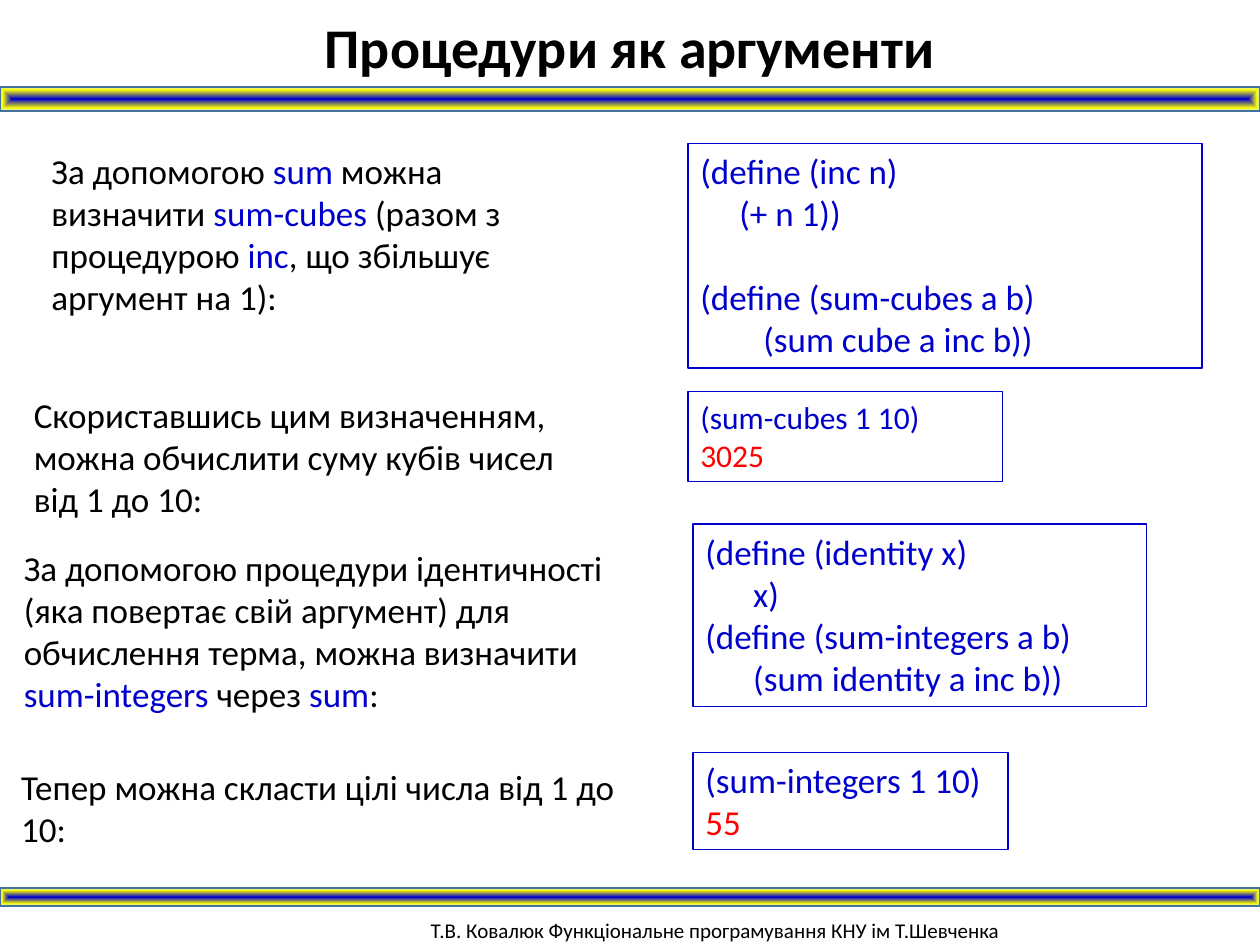
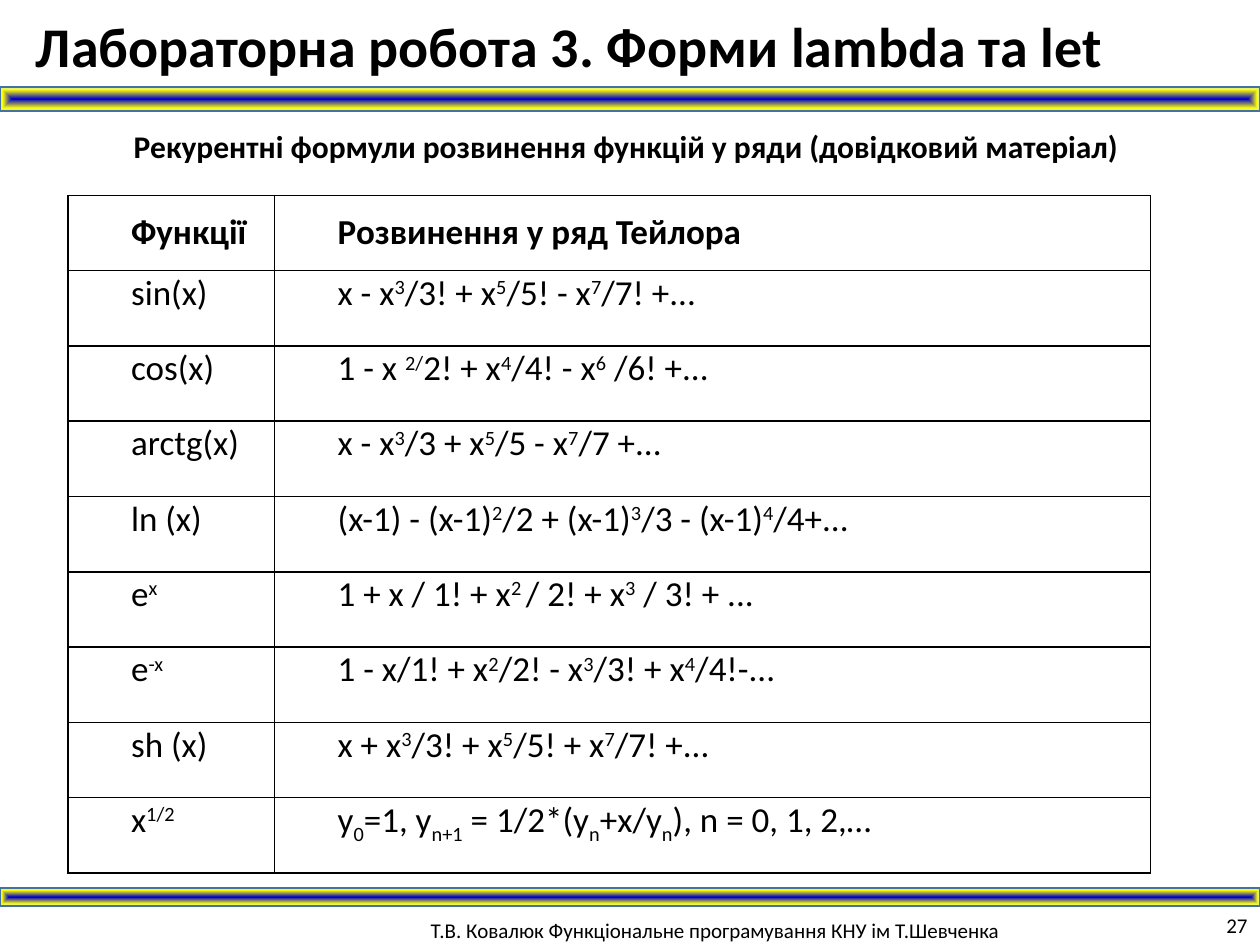
from lxml import etree
from pptx import Presentation
from pptx.dml.color import RGBColor
from pptx.enum.shapes import MSO_SHAPE as Shape
from pptx.enum.text import MSO_ANCHOR as Anchor, MSO_AUTO_SIZE as AutoSize, PP_ALIGN as Align
from pptx.oxml import parse_xml
from pptx.oxml.ns import qn
from pptx.util import Inches, Pt

FONT = "Calibri"
BLACK, BLUE, RED, BAND_LINE = "000000", "0000CC", "FF0000", "43739E"
BAND_STOPS = [(0, BLUE), (77, "FFFF00"), (100, "CEE1F2")]
BANDS = [(0, 0.69, 10, 0.19), (0, 7.05, 10, 0.14)]
FOOTER = "Т.В. Ковалюк Функціональне програмування КНУ ім Т.Шевченка"
DRAWING = "http://schemas.openxmlformats.org/drawingml/2006/main"

# Pieces between bars are marked: # blue, ! red, ^ superscript, _ subscript.
COLOR_MARKS = {"#": BLUE, "!": RED}
BASELINE_MARKS = {"^": 30000, "_": -25000}

ARGUMENTS_TITLE = "Процедури як аргументи"
EXPLANATIONS = [
    ((0.31, 1.14, 4.55, 1.45),
     ["За допомогою |#sum| можна визначити |#sum-cubes| (разом з процедурою "
      "|#inc|, що збільшує аргумент на 1):"]),
    ((0.17, 3.07, 4.73, 1.11),
     ["Скориставшись цим визначенням, можна обчислити суму кубів чисел від 1 до 10:"]),
    ((0.09, 4.29, 5.29, 1.45),
     ["За допомогою процедури ідентичності (яка повертає свій аргумент) для",
      "обчислення терма, можна визначити",
      "|#sum-integers| через |#sum|:"]),
    ((0.07, 6.03, 5.06, 0.77),
     ["Тепер можна скласти цілі числа від 1 до 10:"]),
]
# A code line is its text, or (text, indent in inches, points of space above).
CODE_BOXES = [
    ((5.46, 1.14, 4.08, 1.78), 20,
     ["(define (inc n)", ("(+ n 1))", 0.31, 0),
      ("(define (sum-cubes a b)", 0, 24), ("(sum cube a inc b))", 0.5, 0)]),
    ((5.46, 3.11, 2.5, 0.71), 18, ["(sum-cubes 1 10)", "|!3025|"]),
    ((5.5, 4.16, 3.6, 1.45), 20,
     ["(define (identity x)", ("x)", 0.38, 0),
      "(define (sum-integers a b)", ("(sum identity a inc b))", 0.38, 0)]),
    ((5.5, 5.97, 2.5, 0.77), 20, ["(sum-integers 1 10)", "|!55|"]),
]

LAB_TITLE = "Лабораторна робота 3. Форми lambda та let"
LAB_SUBTITLE = "Рекурентні формули розвинення функцій у ряди (довідковий матеріал)"
PAGE_NUMBER = "27"
SERIES = [
    ("Функції", "Розвинення у ряд Тейлора"),
    ("sin(x)", "x - x|^3|/3! + x|^5|/5! - x|^7|/7! +..."),
    ("cos(x)", "1 - x |^2/|2! + x|^4|/4! - x|^6| /6! +..."),
    ("arctg(x)", "x - x|^3|/3 + x|^5|/5 - x|^7|/7 +..."),
    ("ln (x)", "(x-1) - (x-1)|^2|/2 + (x-1)|^3|/3 - (x-1)|^4|/4+..."),
    ("e|^x|", "1 + x / 1! + x|^2 |/ 2! + x|^3| / 3! + ..."),
    ("e|^-x|", "1 - x/1! + x|^2|/2! - x|^3|/3! + x|^4|/4!-..."),
    ("sh (x)", "x + x|^3|/3! + x|^5|/5! + x|^7|/7! +..."),
    ("x|^1/2|", "y|_0|=1, y|_n+1| = 1/2*(y|_n|+x/y|_n|), n = 0, 1, 2,…"),
]
TABLE_AT = (0.54, 1.55, 8.59, 5.38)
COLUMN_WIDTHS = (1.64, 6.95)


def rgb(code):
    """Turn a hex string into a colour."""
    return RGBColor.from_string(code)


def place(area):
    """Turn left, top, width and height in inches into lengths."""
    return [Inches(value) for value in area]


def write(para, text, size=20, color=BLACK, bold=False, align=Align.LEFT):
    """Fill a paragraph with text, splitting it into marked runs."""
    para.alignment = align
    para.font.name, para.font.size, para.font.bold = FONT, Pt(size), bold
    para.font.color.rgb = rgb(color)
    for index, piece in enumerate(text.split("|")):
        if not piece:
            continue
        mark, words = (piece[0], piece[1:]) if index % 2 else ("", piece)
        span = para.add_run()
        span.text = words
        if mark in COLOR_MARKS:
            span.font.color.rgb = rgb(COLOR_MARKS[mark])
        elif mark in BASELINE_MARKS:
            span._r.get_or_add_rPr().set("baseline", str(BASELINE_MARKS[mark]))


def indent(para, left=0, first=0):
    """Set the left and first-line indents of a paragraph in inches."""
    properties = para._p.get_or_add_pPr()
    properties.set("marL", str(Inches(left)))
    properties.set("indent", str(Inches(first)))


def add_text(page, area, lines, grow=True, **style):
    """Add a wrapped text box with one paragraph for each line."""
    box = page.shapes.add_textbox(*place(area))
    frame = box.text_frame
    frame.word_wrap = True
    if grow:
        frame.auto_size = AutoSize.SHAPE_TO_FIT_TEXT
    for index, line in enumerate(lines):
        text, left, above = (line, 0, 0) if isinstance(line, str) else line
        para = frame.add_paragraph() if index else frame.paragraphs[0]
        write(para, text, **style)
        if left:
            indent(para, left)
        if above:
            para.space_before = Pt(above)
    return box


def add_title(page, area, text):
    """Add the slide title."""
    add_text(page, area, [text], size=32, bold=True, align=Align.CENTER)


def add_band(page, area):
    """Add a bar whose gradient runs from its centre to its edges."""
    band = page.shapes.add_shape(Shape.RECTANGLE, *place(area))
    band.shadow.inherit = False
    band.line.color.rgb = rgb(BAND_LINE)
    band.line.width = Pt(1)
    stops = "".join(f'<a:gs pos="{at * 1000}"><a:srgbClr val="{code}"/></a:gs>'
                    for at, code in BAND_STOPS)
    gradient = parse_xml(
        f'<a:gradFill xmlns:a="{DRAWING}" rotWithShape="1"><a:gsLst>{stops}</a:gsLst>'
        '<a:path path="shape"><a:fillToRect l="50000" t="50000" r="50000" b="50000"/>'
        '</a:path></a:gradFill>')
    band.element.spPr.find(qn("a:prstGeom")).addnext(gradient)
    return band


def furnish(layout, page):
    """Draw the bands and footer on a page, then move them to its layout."""
    for holder in list(layout.placeholders):
        layout.shapes.remove(holder) if hasattr(layout.shapes, "remove") else None
    parts = [add_text(page, (3.32, 7.23, 6, 0.32), [FOOTER], grow=False, size=12)]
    parts += [add_band(page, area) for area in BANDS]
    for part in parts:
        layout.element.cSld.spTree.append(part.element)


def add_borders(cell):
    """Draw a thin black line on every side of a cell."""
    properties = cell._tc.get_or_add_tcPr()
    for index, side in enumerate(("lnL", "lnR", "lnT", "lnB")):
        line = etree.Element(qn(f"a:{side}"), w=str(Pt(1)))
        fill = etree.SubElement(line, qn("a:solidFill"))
        etree.SubElement(fill, qn("a:srgbClr"), val=BLACK)
        properties.insert(index, line)


def add_series_table(page):
    """Add the table of functions and their series."""
    table = page.shapes.add_table(len(SERIES), len(COLUMN_WIDTHS), *place(TABLE_AT)).table
    table.first_row = table.horz_banding = False
    for column, width in zip(table.columns, COLUMN_WIDTHS):
        column.width = Inches(width)
    for row, texts in enumerate(SERIES):
        table.rows[row].height = Inches(TABLE_AT[3] / len(SERIES))
        for column, text in enumerate(texts):
            cell = table.cell(row, column)
            cell.fill.background()
            add_borders(cell)
            cell.margin_left = cell.margin_right = Inches(0.01)
            cell.margin_top = cell.margin_bottom = Inches(0.01)
            cell.vertical_anchor = Anchor.TOP if row else Anchor.MIDDLE
            para = cell.text_frame.paragraphs[0]
            write(para, text, bold=row == 0, align=Align.JUSTIFY)
            indent(para, first=0.49)


def build_arguments(page):
    """Build the slide on procedures as arguments."""
    add_title(page, (0, 0.05, 10, 0.64), ARGUMENTS_TITLE)
    for area, lines in EXPLANATIONS:
        add_text(page, area, lines)
    for area, size, lines in CODE_BOXES:
        box = add_text(page, area, lines, size=size, color=BLUE)
        box.line.color.rgb = rgb(BLUE)
        box.line.width = Pt(0.75)


def build_lab(page):
    """Build the slide with the table of series."""
    number = add_text(page, (9.31, 7.18, 0.69, 0.32), [PAGE_NUMBER], grow=False,
                      size=12, align=Align.RIGHT)
    number.text_frame.vertical_anchor = Anchor.MIDDLE
    add_text(page, (0.19, 0.96, 9.56, 0.4), [LAB_SUBTITLE], size=18, bold=True,
             align=Align.CENTER)
    add_title(page, (-0.27, 0.04, 9.58, 0.64), LAB_TITLE)
    add_series_table(page)


deck = Presentation()
deck.slide_width, deck.slide_height = Inches(10), Inches(7.5)
blank = deck.slide_layouts[6]
pages = [deck.slides.add_slide(blank) for _ in range(2)]
furnish(blank, pages[0])
build_arguments(pages[0])
build_lab(pages[1])
deck.save("out.pptx")
